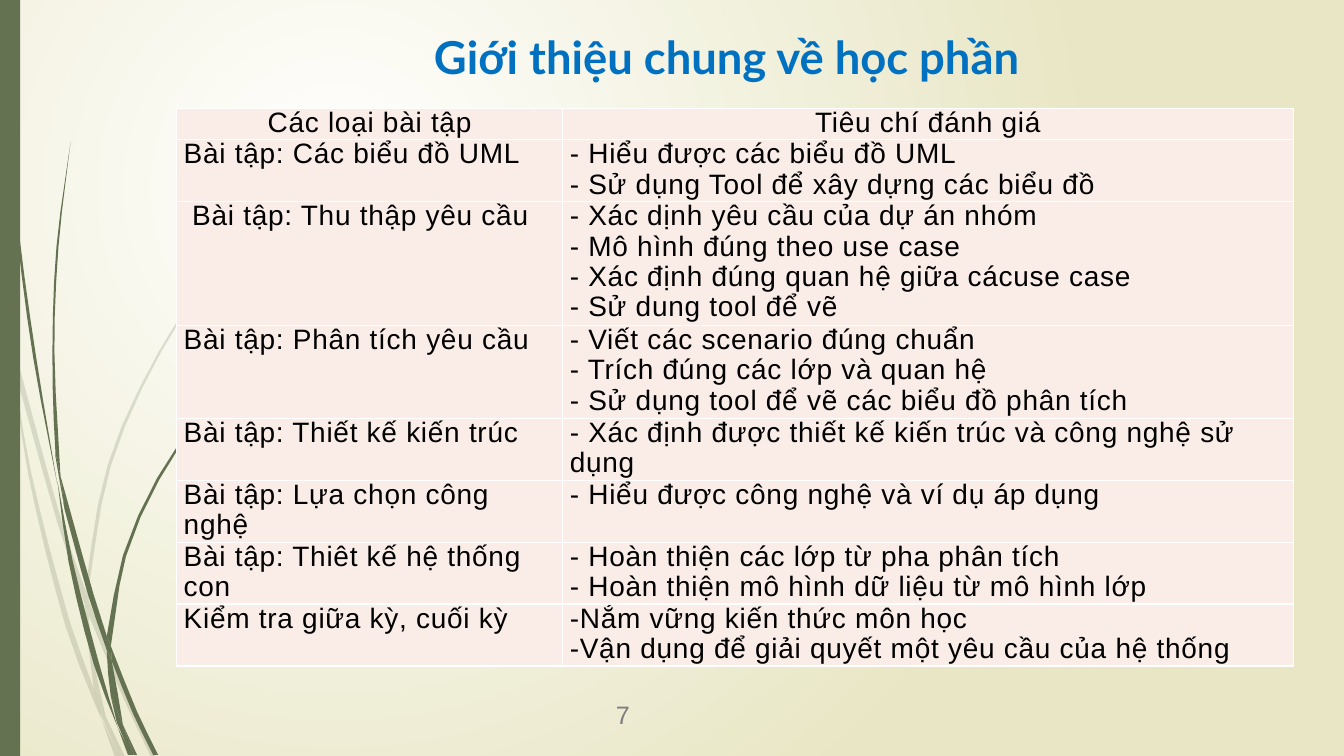
"""Build the course introduction slide with its exercise and assessment table."""
from lxml.etree import SubElement
from pptx import Presentation
from pptx.dml.color import RGBColor
from pptx.enum.shapes import MSO_SHAPE
from pptx.enum.text import MSO_ANCHOR, MSO_AUTO_SIZE, PP_ALIGN
from pptx.oxml.ns import qn
from pptx.util import Cm, Pt

GREEN = "647252"
UNIT = 0.0254

FAINT_GRASS = [
    ([(0, 282), (9, 322), (11, 350)], [(0, 299), (10, 344), (11, 350)]),
    ([(14, 345), (62, 520), (85, 586)], [(17, 376), (58, 522), (84, 599)]),
    ([(88, 596), (127, 692), (155, 751)], [(88, 610), (123, 694), (150, 751)]),
    ([(105, 711), (124, 751)], [(105, 711), (119, 751)]),
    ([(11, 350), (31, 469), (70, 619), (93, 683), (101, 714)],
     [(11, 350), (28, 470), (65, 621), (92, 693), (101, 714)]),
    ([(84, 599), (88, 610), (91, 646), (105, 711)], [(84, 599), (93, 683), (105, 711)]),
    ([(312, 153), (268, 198), (229, 245), (160, 349), (110, 462), (88, 584), (88, 596)],
     [(312, 153), (268, 197), (228, 244), (158, 348), (107, 461), (85, 584), (88, 596)]),
    ([(101, 714), (119, 751)], [(101, 714), (114, 751)]),
    ([(85, 586), (88, 596), (88, 610)], [(84, 599), (88, 608)]),
    ([(93, 683), (105, 711), (119, 751)], [(99, 707), (119, 751)]),
]
DARK_GRASS = [
    ([(4, 0), (8, 109), (19, 232), (36, 355), (57, 481)],
     [(3, 0), (7, 110), (17, 233), (33, 355), (57, 481)]),
    ([(60, 472), (93, 590), (106, 631), (106, 645)], [(64, 505), (88, 592), (106, 645)]),
    ([(110, 641), (136, 706), (157, 749)], [(111, 656), (132, 708), (152, 749)]),
    ([(57, 477), (72, 556), (98, 657), (117, 722)],
     [(57, 477), (68, 557), (93, 659), (117, 722)]),
    ([(70, 141), (58, 245), (54, 349), (60, 472)],
     [(70, 141), (56, 245), (52, 349), (55, 449), (60, 472)]),
    ([(122, 719), (136, 749)], [(122, 719), (133, 749)]),
    ([(55, 449), (60, 472), (64, 505)], [(55, 453), (64, 505)]),
    ([(260, 344), (204, 405), (156, 474), (122, 551), (106, 631)],
     [(261, 344), (205, 406), (158, 476), (125, 552), (110, 641)]),
    ([(117, 722), (131, 749)], [(117, 722), (127, 749)]),
    ([(106, 645), (111, 656), (122, 719)], [(106, 645), (110, 691), (122, 719)]),
    ([(106, 631), (110, 641), (111, 656)], [(106, 645), (109, 651)]),
    ([(110, 691), (122, 719), (133, 749)], [(116, 717), (130, 749)]),
]
EXERCISES = [
    (1, "Các loại bài tập", "Tiêu chí đánh giá"),
    (2, "Bài tập: Các biểu đồ UML",
     "- Hiểu được các biểu đồ UML\n- Sử dụng Tool để xây dựng các biểu đồ"),
    (4, " Bài tập: Thu thập yêu cầu",
     "- Xác dịnh yêu cầu của dự án nhóm\n- Mô hình đúng theo use case\n"
     "- Xác định đúng quan hệ giữa cácuse case\n- Sử dung tool để vẽ"),
    (3, "Bài tập: Phân tích yêu cầu",
     "- Viết các scenario đúng chuẩn\n- Trích đúng các lớp và quan hệ\n"
     "- Sử dụng tool để vẽ các biểu đồ phân tích"),
    (2, "Bài tập: Thiết kế kiến trúc",
     "- Xác định được thiết kế kiến trúc và công nghệ sử dụng"),
    (2, "Bài tập: Lựa chọn công nghệ", "- Hiểu được công nghệ và ví dụ áp dụng"),
    (2, "Bài tập: Thiêt kế hệ thống con",
     "- Hoàn thiện các lớp từ pha phân tích\n- Hoàn thiện mô hình dữ liệu từ mô hình lớp"),
    (2, "Kiểm tra giữa kỳ, cuối kỳ",
     "-Nắm vững kiến thức môn học\n-Vận dụng để giải quyết một yêu cầu của hệ thống"),
]


def color(code):
    """Turn a hex string into a colour."""
    return RGBColor.from_string(code)


def smooth(edge):
    """Return points on a smooth curve through the points of an edge."""
    points = [complex(x, y) for x, y in edge]
    padded = [points[0], *points, points[-1]]
    curve = [points[0]]
    for before, start, end, after in zip(padded, padded[1:], padded[2:], padded[3:]):
        length = abs(end - start)
        leave = (end - before) / abs(end - before) * length
        arrive = (after - start) / abs(after - start) * length
        steps = 1 + int(length / 45)
        for step in range(1, steps + 1):
            t = step / steps
            curve.append(start * (2 * t**3 - 3 * t**2 + 1) + leave * (t**3 - 2 * t**2 + t)
                         + end * (3 * t**2 - 2 * t**3) + arrive * (t**3 - t**2))
    return [(Cm(point.real * UNIT), Cm(point.imag * UNIT)) for point in curve]


deck = Presentation()
deck.slide_width, deck.slide_height = Cm(33.87), Cm(19.05)
page = deck.slides.add_slide(deck.slide_layouts[5])

backdrop = page.background.fill
backdrop.gradient()
for stop, code in zip(backdrop.gradient_stops, ("FFFFFF", "E8E6C4")):
    stop.color.rgb = color(code)
gradient = page.element.find(".//" + qn("a:gradFill"))
gradient.remove(gradient.find(qn("a:lin")))
circle = SubElement(gradient, qn("a:path"), path="circle")
SubElement(circle, qn("a:fillToRect"), l="50000", t="50000", r="100000", b="100000")

for blades, opacity in ((FAINT_GRASS, "20000"), (DARK_GRASS, "100000")):
    for right_edge, left_edge in blades:
        outline = smooth(right_edge) + smooth(left_edge)[::-1]
        builder = page.shapes.build_freeform(*outline[0])
        builder.add_line_segments(outline[1:], close=True)
        blade = builder.convert_to_shape()
        blade.shadow.inherit = False
        blade.line.fill.background()
        blade.fill.solid()
        blade.fill.fore_color.rgb = color(GREEN)
        tint = blade.element.spPr.find(qn("a:solidFill"))[0]
        SubElement(tint, qn("a:alpha"), val=opacity)

sidebar = page.shapes.add_shape(MSO_SHAPE.RECTANGLE, 0, 0, Cm(0.51), Cm(19.05))
sidebar.shadow.inherit = False
sidebar.line.fill.background()
sidebar.fill.solid()
sidebar.fill.fore_color.rgb = color(GREEN)

title = page.shapes.title
title.left, title.top, title.width, title.height = Cm(4.88), Cm(0.58), Cm(26.87), Cm(1.7)
title.text_frame.text = "Giới thiệu chung về học phần"
number = page.shapes.add_textbox(Cm(15.27), Cm(17.5), Cm(2.16), Cm(1.02))
number.text_frame.text = "7"
for box, size, font, code, bold, align in (
    (title, 32.4, "Lato", "0070C0", True, PP_ALIGN.CENTER),
    (number, 18, "Arial", "7F7F7F", False, PP_ALIGN.LEFT),
):
    box.text_frame.word_wrap = True
    box.text_frame.auto_size = MSO_AUTO_SIZE.NONE
    box.text_frame.vertical_anchor = MSO_ANCHOR.MIDDLE
    para = box.text_frame.paragraphs[0]
    para.alignment = align
    span = para.runs[0]
    span.font.size, span.font.name, span.font.bold = Pt(size), font, bold
    span.font.color.rgb = color(code)

frame = page.shapes.add_table(len(EXERCISES), 2, Cm(4.45), Cm(2.74), Cm(28.14), Cm(14.1))
table = frame.table
table.first_row = table.horz_banding = False
table.columns[0].width, table.columns[1].width = Cm(9.73), Cm(18.41)
for row, (lines, *texts) in enumerate(EXERCISES):
    table.rows[row].height = Cm(lines * 0.78)
    for column, text in enumerate(texts):
        cell = table.cell(row, column)
        cell.text_frame.text = text
        cell.margin_left = cell.margin_right = Cm(0.18)
        cell.margin_top = cell.margin_bottom = 0
        properties = cell._tc.get_or_add_tcPr()
        for side in ("a:lnL", "a:lnR", "a:lnT", "a:lnB"):
            border = SubElement(properties, qn(side), w="12700")
            SubElement(SubElement(border, qn("a:solidFill")), qn("a:srgbClr"), val="FFFFFF")
        cell.fill.solid()
        cell.fill.fore_color.rgb = color("FAEDE7")
        for para in cell.text_frame.paragraphs:
            para.alignment = PP_ALIGN.LEFT if row else PP_ALIGN.CENTER
            para.line_spacing = 0.97
            span = para.runs[0]
            span.font.size, span.font.name = Pt(20), "Arial"
            span.font.color.rgb = color("000000")
            span.font._element.set("spc", "50")

deck.save("out.pptx")
